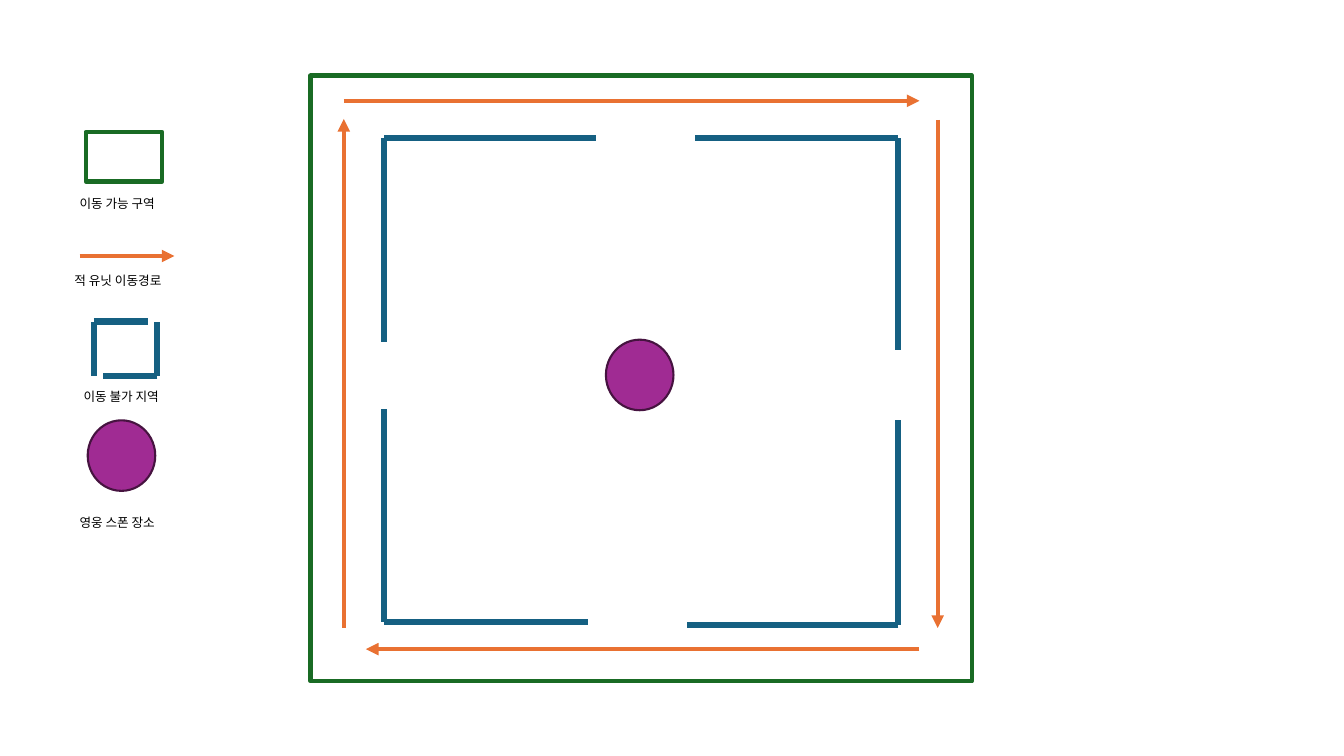
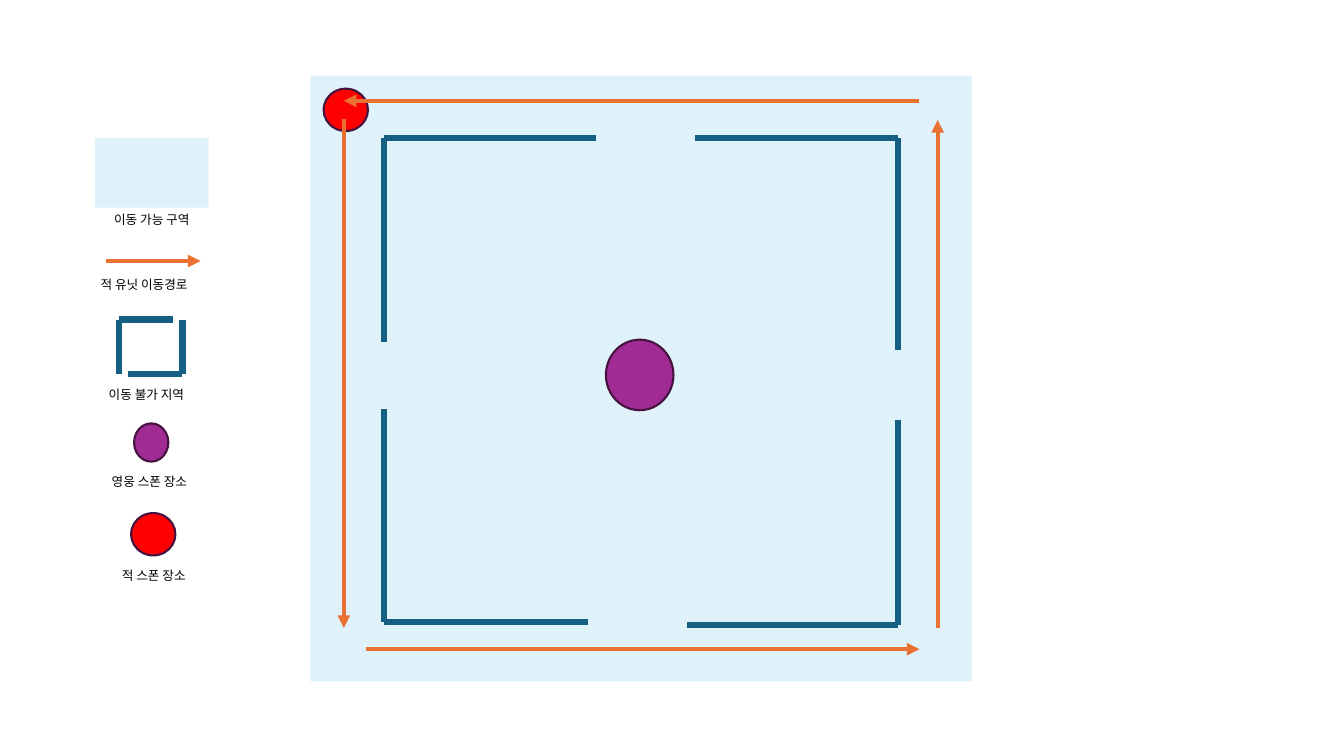
from dataclasses import dataclass

from lxml.etree import SubElement
from pptx import Presentation
from pptx.dml.color import RGBColor
from pptx.enum.shapes import MSO_CONNECTOR as Connector, MSO_SHAPE as Preset
from pptx.enum.text import MSO_AUTO_SIZE as AutoSize, PP_ALIGN as Align
from pptx.oxml.ns import qn
from pptx.util import Inches, Pt

GREEN = RGBColor(0x19, 0x6B, 0x24)
ORANGE = RGBColor(0xE9, 0x71, 0x32)
BLUE = RGBColor(0x15, 0x60, 0x82)
PURPLE = RGBColor(0xA0, 0x2B, 0x93)
DARK_PURPLE = RGBColor(0x46, 0x13, 0x40)
RED = RGBColor(0xFF, 0x00, 0x00)
PALE_BLUE = RGBColor(0xC1, 0xE5, 0xF5)
BLACK = RGBColor(0x00, 0x00, 0x00)

FONT = "Noto Sans CJK KR"
SLIDE_WIDTH, SLIDE_HEIGHT = Inches(13.33), Inches(7.5)
ROWS = 75
CELL = SLIDE_HEIGHT / ROWS


@dataclass
class Box:
    left: float
    top: float
    width: float
    height: float

    def inner(self, left, top, width, height):
        return Box(self.left + left, self.top + top, width, height)

    def point(self, x, y):
        return self.left + x, self.top + y

    def emu(self):
        return [round(n * CELL) for n in (self.left, self.top, self.width, self.height)]


MAP = Box(30.8, 7.5, 65.6, 60.1)
HERO_SPOT = (29.3, 26.2, 6.7, 7)
ENEMY_SPOT = (1.3, 1.3, 4.4, 4.2)
ROUTE = [
    ((3.3, 2.5), (60.4, 2.5)),
    ((62.2, 4.4), (62.2, 54.8)),
    ((60.4, 56.9), (5.5, 56.9)),
    ((3.3, 54.8), (3.3, 4.3)),
]
MAP_WALLS = [
    ((58.3, 6.2), (38.1, 27.2)),
    ((58.3, 54.5), (37.3, 34.2)),
    ((7.3, 54.2), (27.5, 33.1)),
    ((7.3, 6.2), (28.3, 26.4)),
]


def add_line(shapes, start, end, color, weight, arrow=False):
    ends = [round(n * CELL) for n in (*start, *end)]
    line = shapes.add_connector(Connector.STRAIGHT, *ends)
    line.line.color.rgb = color
    line.line.width = Pt(weight)
    properties = line.element.spPr
    SubElement(properties, qn("a:effectLst"))
    if arrow:
        SubElement(properties.find(qn("a:ln")), qn("a:tailEnd"), type="triangle")


def add_preset(shapes, box, preset, fill=None, outline=None, weight=1.5):
    shape = shapes.add_shape(preset, *box.emu())
    shape.shadow.inherit = False
    if fill is None:
        shape.fill.background()
    else:
        shape.fill.solid()
        shape.fill.fore_color.rgb = fill
    if outline is None:
        shape.line.fill.background()
    else:
        shape.line.color.rgb = outline
        shape.line.width = Pt(weight)
    return shape


def outlined_zone(shapes, box):
    add_preset(shapes, box, Preset.RECTANGLE, outline=GREEN, weight=3)


def tinted_zone(shapes, box):
    zone = add_preset(shapes, box, Preset.RECTANGLE, PALE_BLUE)
    tint = zone.element.spPr.find(qn("a:solidFill"))[0]
    SubElement(tint, qn("a:alpha"), val="50000")


def hero_spawn(shapes, box):
    add_preset(shapes, box, Preset.OVAL, PURPLE, DARK_PURPLE)


def enemy_spawn(shapes, box):
    add_preset(shapes, box, Preset.OVAL, RED, DARK_PURPLE)


def enemy_route(shapes, box):
    add_line(shapes, box.point(0, 0), box.point(box.width, 0), ORANGE, 3, arrow=True)


def corner_walls(shapes, box, corners):
    for (x, y), (arm_x, arm_y) in corners:
        corner = shapes.add_group_shape().shapes
        for end in ((arm_x, y), (x, arm_y)):
            add_line(corner, box.point(x, y), box.point(*end), BLUE, 4.5)


def wall_sample(shapes, box):
    arm = box.height
    right = box.width
    corner_walls(shapes, box, [((0, 0), (arm, arm)), ((right, arm), (right - arm, 0))])


def add_label(shapes, box, text, align):
    label = shapes.add_textbox(*box.emu())
    frame = label.text_frame
    frame.word_wrap = True
    frame.auto_size = AutoSize.SHAPE_TO_FIT_TEXT
    frame.text = text
    paragraph = frame.paragraphs[0]
    paragraph.alignment = align
    font = paragraph.runs[0].font
    font.size = Pt(9)
    font.name = FONT
    font.color.rgb = BLACK
    for properties in label.element.iter(qn("a:rPr")):
        SubElement(properties, qn("a:ea"), typeface=FONT)


def add_map(shapes, box, zone, reverse=False, enemy=False):
    zone(shapes, box)
    if enemy:
        enemy_spawn(shapes, box.inner(*ENEMY_SPOT))
    for leg in ROUTE:
        start, end = reversed(leg) if reverse else leg
        add_line(shapes, box.point(*start), box.point(*end), ORANGE, 3, arrow=True)
    corner_walls(shapes, box, MAP_WALLS)
    hero_spawn(shapes, box.inner(*HERO_SPOT))


def add_legend(shapes, box, entries):
    for symbol, symbol_spot, text, (left, top, width), align in entries:
        symbol(shapes, box.inner(*symbol_spot))
        add_label(shapes, box.inner(left, top, width, 2.5), text, align)


OUTLINED_LEGEND = [
    (outlined_zone, (2.1, 0, 7.6, 4.9), "이동 가능 구역", (0.5, 5.8, 10.9), Align.LEFT),
    (enemy_route, (1.5, 12.3, 9.4, 0), "적 유닛 이동경로", (0, 13.5, 12), Align.LEFT),
    (wall_sample, (2.9, 18.8, 6.3, 5.4), "이동 불가 지역", (0.9, 25, 10.9), Align.LEFT),
    (hero_spawn, (2.3, 28.6, 6.7, 7), "영웅 스폰 장소", (0.5, 37.5, 10.9), Align.LEFT),
]
TINTED_LEGEND = [
    (tinted_zone, (0.4, 0, 11.3, 6.9), "이동 가능 구역", (0.4, 6.8, 11.3), Align.CENTER),
    (enemy_route, (1.5, 12.2, 9.4, 0), "적 유닛 이동경로", (0, 13.3, 12), Align.LEFT),
    (wall_sample, (2.8, 18, 6.3, 5.4), "이동 불가 지역", (0.8, 24.2, 10.9), Align.LEFT),
    (hero_spawn, (4.3, 28.3, 3.4, 3.8), "영웅 스폰 장소", (1.1, 32.8, 10.9), Align.LEFT),
    (enemy_spawn, (4, 37.2, 4.4, 4.2), "적 스폰 장소", (0.8, 42.1, 10.9), Align.CENTER),
]


def main():
    deck = Presentation()
    deck.slide_width, deck.slide_height = SLIDE_WIDTH, SLIDE_HEIGHT
    blank = deck.slide_layouts[6]

    shapes = deck.slides.add_slide(blank).shapes
    add_map(shapes, MAP, outlined_zone)
    add_legend(shapes, Box(6.4, 13.1, 12, 40), OUTLINED_LEGEND)

    shapes = deck.slides.add_slide(blank).shapes
    add_map(shapes, MAP, tinted_zone, reverse=True, enemy=True)
    add_legend(shapes, Box(9, 13.7, 12, 44.6), TINTED_LEGEND)

    deck.save("out.pptx")


if __name__ == "__main__":
    main()
